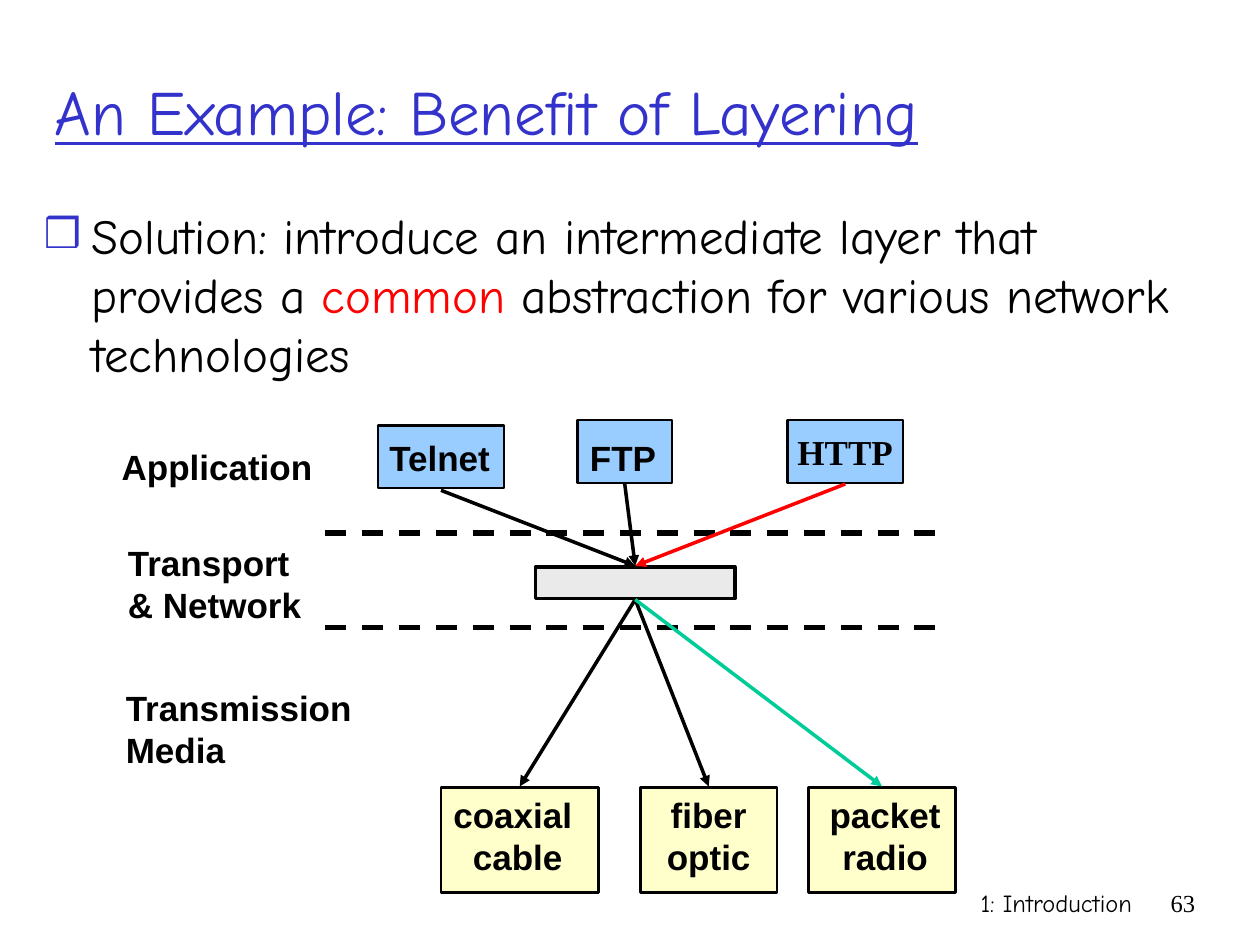
from dataclasses import dataclass

from lxml import etree
from pptx import Presentation
from pptx.dml.color import RGBColor
from pptx.enum.dml import MSO_LINE
from pptx.enum.shapes import MSO_CONNECTOR, MSO_SHAPE
from pptx.enum.text import MSO_ANCHOR, MSO_AUTO_SIZE, PP_ALIGN
from pptx.oxml.ns import qn
from pptx.util import Inches, Pt

LEFT, CENTER, RIGHT = PP_ALIGN.LEFT, PP_ALIGN.CENTER, PP_ALIGN.RIGHT
TOP, MIDDLE = MSO_ANCHOR.TOP, MSO_ANCHOR.MIDDLE
FIT_SHAPE, FIT_NONE = MSO_AUTO_SIZE.SHAPE_TO_FIT_TEXT, MSO_AUTO_SIZE.NONE
RECTANGLE, STRAIGHT = MSO_SHAPE.RECTANGLE, MSO_CONNECTOR.STRAIGHT
DASH = MSO_LINE.DASH
TITLE_ONLY = 5
COLUMNS, ROWS = 120, 90


@dataclass(frozen=True)
class Theme:
    black: str = "000000"
    blue: str = "3333CC"
    red: str = "FF0000"
    green: str = "00CC99"
    application: str = "99CCFF"
    medium: str = "FFFFCC"
    layer: str = "EAEAEA"
    hand: str = "Comic Neue"
    sans: str = "Arial"
    serif: str = "Times New Roman"
    title_size: int = 36
    body_size: int = 28
    label_size: int = 20
    footer_size: int = 14


def rgb(color):
    return RGBColor.from_string(color)


class Deck:
    def __init__(self, theme):
        self.theme = theme
        self.presentation = Presentation()
        self.presentation.slide_width = Inches(10)
        self.presentation.slide_height = Inches(7.5)
        layout = self.presentation.slide_layouts[TITLE_ONLY]
        self.slide = self.presentation.slides.add_slide(layout)

    def place(self, *lengths):
        """Turn alternating columns and rows into slide lengths."""
        units = (self.presentation.slide_width / COLUMNS,
                 self.presentation.slide_height / ROWS)
        return [round(length * units[i % 2]) for i, length in enumerate(lengths)]

    def style(self, paragraph, face, size, color=None, bold=False, align=LEFT):
        paragraph.alignment = align
        font = paragraph.font
        font.name, font.size, font.bold = face, Pt(size), bold
        font.color.rgb = rgb(color or self.theme.black)

    def title(self, text, area):
        shape = self.slide.shapes.title
        shape.left, shape.top, shape.width, shape.height = self.place(*area)
        frame = shape.text_frame
        frame.text = text
        frame.vertical_anchor = MIDDLE
        frame.auto_size = FIT_NONE
        paragraph = frame.paragraphs[0]
        self.style(paragraph, self.theme.hand, self.theme.title_size, self.theme.blue)
        paragraph.font.underline = True

    def text(self, lines, area, face, size, bold=False, align=LEFT, wrap=True):
        frame = self.slide.shapes.add_textbox(*self.place(*area)).text_frame
        frame.word_wrap = wrap
        frame.vertical_anchor = TOP
        frame.text = lines
        for paragraph in frame.paragraphs:
            self.style(paragraph, face, size, bold=bold, align=align)
        return frame

    def label(self, lines, left, top, width, align=LEFT):
        height = 1.2 + 4 * len(lines.split("\n"))
        frame = self.text(lines, (left, top, width, height), self.theme.sans,
                          self.theme.label_size, True, align, False)
        frame.auto_size = FIT_SHAPE

    def bullet(self, runs, area):
        """Add one bulleted paragraph from (text, colour) pairs."""
        frame = self.slide.shapes.add_textbox(*self.place(*area)).text_frame
        frame.word_wrap = True
        paragraph = frame.paragraphs[0]
        properties = paragraph._p.get_or_add_pPr()
        properties.set("marL", str(Inches(0.38)))
        properties.set("indent", str(-Inches(0.38)))
        color = etree.SubElement(properties, qn("a:buClr"))
        etree.SubElement(color, qn("a:srgbClr"), val=self.theme.blue)
        etree.SubElement(properties, qn("a:buSzPct"), val="85000")
        etree.SubElement(properties, qn("a:buFont"), typeface=self.theme.hand)
        etree.SubElement(properties, qn("a:buChar"), char="❒")
        self.style(paragraph, self.theme.hand, self.theme.body_size)
        for words, run_color in runs:
            run = paragraph.add_run()
            run.text = words
            run.font.color.rgb = rgb(run_color)

    def box(self, area, fill, weight=1.5):
        shape = self.slide.shapes.add_shape(RECTANGLE, *self.place(*area))
        shape.shadow.inherit = False
        shape.fill.solid()
        shape.fill.fore_color.rgb = rgb(fill)
        shape.line.color.rgb = rgb(self.theme.black)
        shape.line.width = Pt(weight)
        return shape

    def line(self, start, end, color, weight):
        connector = self.slide.shapes.add_connector(STRAIGHT, *self.place(*start, *end))
        connector.line.color.rgb = rgb(color)
        connector.line.width = Pt(weight)
        etree.SubElement(connector._element.spPr, qn("a:effectLst"))
        return connector

    def divider(self, row):
        self.line((31, row), (90, row), self.theme.black, 3).line.dash_style = DASH

    def arrow(self, start, end, color):
        connector = self.line(start, end, color, 2)
        outline = connector.line._get_or_add_ln()
        etree.SubElement(outline, qn("a:tailEnd"), type="triangle")


def main():
    theme = Theme()
    deck = Deck(theme)
    deck.text("1: Introduction", (71, 84, 38, 6), theme.hand, theme.footer_size, align=RIGHT)
    deck.text("63", (109, 84, 6, 6), theme.serif, theme.footer_size, align=RIGHT)
    deck.title("An Example: Benefit of Layering", (4, 3, 102, 15))
    deck.bullet([
        ("Solution: introduce an intermediate layer that provides a ", theme.black),
        ("common", theme.red),
        (" abstraction for various network technologies", theme.black),
    ], (3, 19, 113, 19))

    http = deck.box((75, 40, 11, 6), theme.application).text_frame
    http.text = "HTTP"
    http.word_wrap = False
    http.vertical_anchor = MIDDLE
    deck.style(http.paragraphs[0], theme.serif, theme.label_size, bold=True, align=CENTER)

    for name, left, top, width, label_left, label_width in (
        ("Telnet", 36, 40.5, 12, 35.9, 13.2),
        ("FTP", 55, 40, 9, 55, 9),
    ):
        deck.box((left, top, width, 6), theme.application)
        deck.label(name, label_left, 41, label_width)

    for name, left, width, label_left, label_width in (
        ("packet\nradio", 77, 14, 77.8, 13),
        ("coaxial \ncable", 42, 15, 41.8, 15),
        ("fiber\noptic", 61, 13, 61, 13),
    ):
        deck.box((left, 75, width, 10), theme.medium)
        deck.label(name, label_left, 75, label_width, CENTER)

    for name, left, top, width in (
        ("Application", 10.4, 41.8, 21.5),
        ("Transport\n& Network", 11, 51, 20),
        ("Transmission\nMedia", 10.8, 64.8, 25),
    ):
        deck.label(name, left, top, width)

    deck.box((51, 54, 19, 3), theme.layer, 2)
    for row in (50.75, 59.75):
        deck.divider(row)

    hub = 60.5
    for column, row, color in (
        (42, 46.7, theme.black), (59.5, 46.1, theme.black), (80.5, 46.1, theme.red),
    ):
        deck.arrow((column, row), (hub, 53.9), color)
    for column, color in ((49.5, theme.black), (67.5, theme.black), (84, theme.green)):
        deck.arrow((hub, 57.1), (column, 74.9), color)

    deck.presentation.save("out.pptx")


if __name__ == "__main__":
    main()
